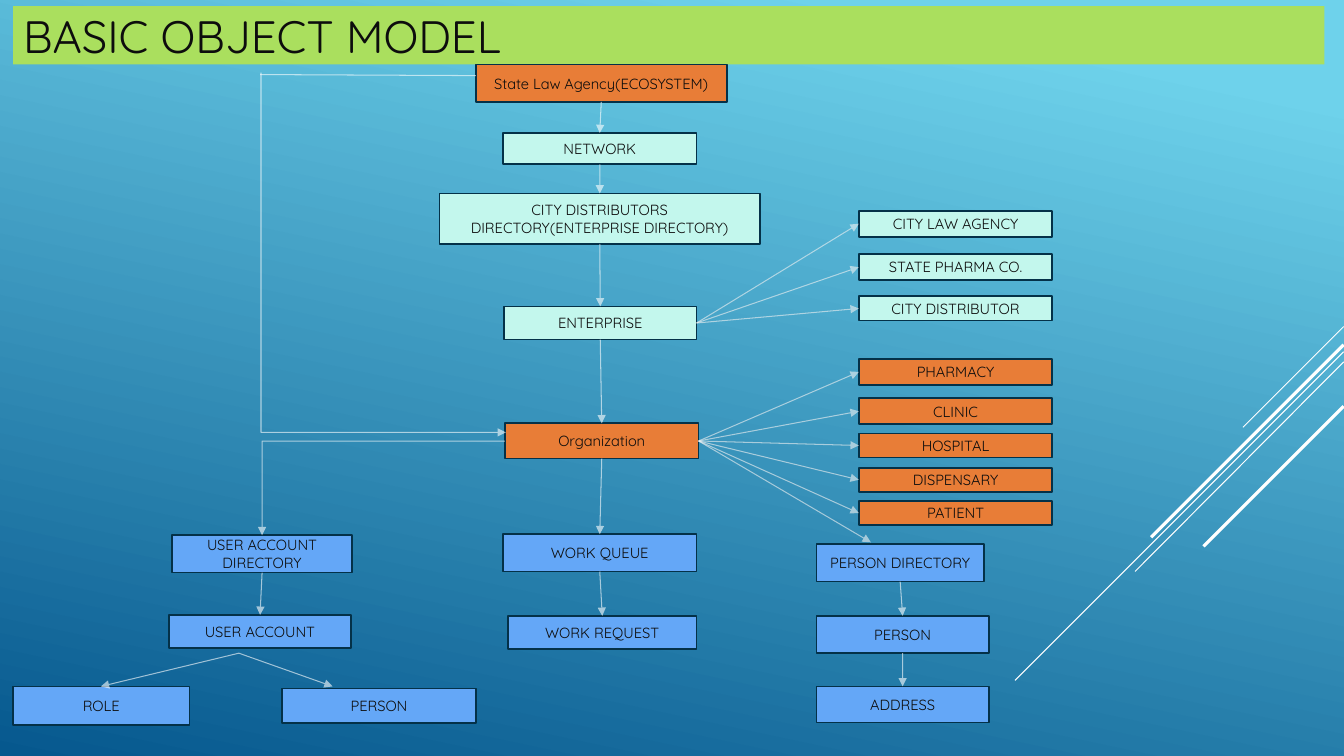
"""Builds the object model slide on a grid of tenth-of-an-inch cells."""
from dataclasses import dataclass

from lxml.etree import SubElement
from pptx import Presentation
from pptx.dml.color import RGBColor
from pptx.enum.shapes import MSO_CONNECTOR as Link, MSO_SHAPE as Preset
from pptx.enum.text import MSO_ANCHOR as Anchor, PP_ALIGN as Align
from pptx.oxml.ns import qn
from pptx.util import Emu, Inches, Pt

CELL = Inches(0.1)
COLUMNS, ROWS = 133.33, 75
FONT = "Quicksand"
ORANGE, MINT, BLUE, GREEN = "E87D37", "C3F7ED", "64A7F7", "AADF5E"
INK, NAVY, WHITE, PALE = "0D0D0D", "043148", "FFFFFF", "F2F2F2"
Point = tuple[float, float]


@dataclass(frozen=True)
class Box:
    label: str
    column: float
    row: float
    columns: float
    rows: float
    fill: str

    @property
    def top(self) -> Point:
        return self.column + self.columns / 2, self.row

    @property
    def bottom(self) -> Point:
        return self.column + self.columns / 2, self.row + self.rows

    @property
    def left(self) -> Point:
        return self.column, self.row + self.rows / 2

    @property
    def right(self) -> Point:
        return self.column + self.columns, self.row + self.rows / 2


TITLE = Box("BASIC OBJECT MODEL", 1.3, 0.6, 130.1, 5.8, GREEN)

ECOSYSTEM = Box("State Law Agency(ECOSYSTEM)", 47.2, 6.4, 24.9, 3.7, ORANGE)
NETWORK = Box("NETWORK", 49.9, 13.2, 19.2, 3.1, MINT)
DISTRIBUTORS = Box("CITY DISTRIBUTORS DIRECTORY(ENTERPRISE DIRECTORY)", 43.6, 19.2, 31.8, 5, MINT)
ENTERPRISE = Box("ENTERPRISE", 50, 30.4, 19.1, 3.3, MINT)
ORGANIZATION = Box("Organization", 50.1, 42, 19.2, 3.5, ORANGE)
WORK_QUEUE = Box("WORK QUEUE", 49.9, 53, 19.2, 3.7, BLUE)
WORK_REQUEST = Box("WORK REQUEST", 50.4, 61.1, 18.7, 3.3, BLUE)

ACCOUNT_DIRECTORY = Box("USER ACCOUNT DIRECTORY", 17.1, 53.1, 17.8, 3.7, BLUE)
ACCOUNT = Box("USER ACCOUNT", 16.8, 61, 18, 3.3, BLUE)
ROLE = Box("ROLE", 1.3, 68.1, 17.5, 3.8, BLUE)
ACCOUNT_PERSON = Box("PERSON", 28, 68.3, 19.2, 3.4, BLUE)

PERSON_DIRECTORY = Box("PERSON DIRECTORY", 81, 54, 16.6, 3.7, BLUE)
PERSON = Box("PERSON", 81, 61.1, 17.1, 3.7, BLUE)
ADDRESS = Box("ADDRESS", 81, 68.1, 17.1, 3.6, BLUE)

ENTERPRISE_KINDS = [
    Box(label, 85.2, row, 19.2, rows, MINT)
    for label, row, rows in [
        ("CITY LAW AGENCY", 20.9, 2.6),
        ("STATE PHARMA CO.", 25.2, 2.6),
        ("CITY DISTRIBUTOR", 29.4, 2.4),
    ]
]
ORGANIZATION_KINDS = [
    Box(label, 85.2, row, 19.2, rows, ORANGE)
    for label, row, rows in [
        ("PHARMACY", 35.6, 2.6),
        ("CLINIC", 39.5, 2.6),
        ("HOSPITAL", 43, 2.4),
        ("DISPENSARY", 46.4, 2.4),
        ("PATIENT", 49.7, 2.4),
    ]
]
CHAINS = [
    [ECOSYSTEM, NETWORK, DISTRIBUTORS, ENTERPRISE, ORGANIZATION, WORK_QUEUE, WORK_REQUEST],
    [ACCOUNT_DIRECTORY, ACCOUNT],
    [PERSON_DIRECTORY, PERSON, ADDRESS],
]
FANS = [(ENTERPRISE, ENTERPRISE_KINDS), (ORGANIZATION, ORGANIZATION_KINDS)]
STRIPES = [
    ((133.3, 32.4), (123.3, 42.4), 0.75),
    ((133.3, 34.9), (100.7, 67.5), 0.75),
    ((133.3, 35.9), (112.6, 56.7), 0.75),
    ((133.3, 34.2), (114.2, 53.3), 2.25),
    ((133.3, 40.3), (119.4, 54.2), 2.25),
]


def cells(count: float) -> Emu:
    return Emu(round(count * CELL))


def rgb(value: str) -> RGBColor:
    return RGBColor.from_string(value)


def paint_background(page) -> None:
    fill = page.background.fill
    fill.gradient()
    fill.gradient_angle = 258
    for stop, (position, value) in zip(fill.gradient_stops, [(0.1, "6ED2EB"), (1, "06588E")]):
        stop.position = position
        stop.color.rgb = rgb(value)


def draw_box(page, box: Box, size: float = 10.5, align: Align = Align.CENTER,
             outline: str | None = NAVY) -> None:
    shape = page.shapes.add_shape(Preset.RECTANGLE, cells(box.column), cells(box.row),
                                  cells(box.columns), cells(box.rows))
    shape.shadow.inherit = False
    shape.fill.solid()
    shape.fill.fore_color.rgb = rgb(box.fill)
    if outline:
        shape.line.color.rgb = rgb(outline)
        shape.line.width = Pt(1.25)
    else:
        shape.line.fill.background()
    frame = shape.text_frame
    frame.word_wrap = True
    frame.vertical_anchor = Anchor.MIDDLE
    frame.text = box.label
    para = frame.paragraphs[0]
    para.alignment = align
    font = para.runs[0].font
    font.name, font.size = FONT, Pt(size)
    font.color.rgb = rgb(INK)


def draw_line(page, start: Point, end: Point, color: str = WHITE, width: float = 0.75,
              opacity: int = 60, arrow: str | None = "tailEnd", bent: bool = False) -> None:
    kind = Link.ELBOW if bent else Link.STRAIGHT
    line = page.shapes.add_connector(kind, *(cells(count) for count in (*start, *end)))
    line.line.color.rgb = rgb(color)
    line.line.width = Pt(width)
    properties = line._element.spPr
    if bent:
        properties.find(qn("a:prstGeom")).set("prst", "bentConnector2")
    if opacity < 100:
        SubElement(next(properties.iter(qn("a:srgbClr"))), qn("a:alpha"), val=str(opacity * 1000))
    if arrow:
        SubElement(properties.find(qn("a:ln")), qn(f"a:{arrow}"), type="triangle")
    SubElement(properties, qn("a:effectLst"))


def main() -> None:
    deck = Presentation()
    deck.slide_width, deck.slide_height = cells(COLUMNS), cells(ROWS)
    page = deck.slides.add_slide(deck.slide_layouts[6])
    paint_background(page)
    for start, end, width in STRIPES:
        draw_line(page, start, end, width=width, opacity=100, arrow=None)

    draw_box(page, TITLE, size=32.4, align=Align.LEFT, outline=None)
    boxes = [box for chain in CHAINS for box in chain]
    for box in [*boxes, ROLE, ACCOUNT_PERSON, *ENTERPRISE_KINDS, *ORGANIZATION_KINDS]:
        draw_box(page, box)

    for chain in CHAINS:
        for upper, lower in zip(chain, chain[1:]):
            draw_line(page, upper.bottom, lower.top)
    for source, kinds in FANS:
        for kind in kinds:
            draw_line(page, source.right, kind.left, PALE)
    draw_line(page, ORGANIZATION.right, (86.4, 53.8), PALE)
    for end in [(10, 68.1), (33, 68.1)]:
        draw_line(page, (23.7, 64.8), end)

    draw_line(page, ORGANIZATION.left, ACCOUNT_DIRECTORY.top, bent=True)
    draw_line(page, (47.2, 7.5), (25.8, 7.4), arrow=None)
    draw_line(page, (50.2, 42.9), (25.9, 7.2), arrow="headEnd", bent=True)
    deck.save("out.pptx")


if __name__ == "__main__":
    main()
